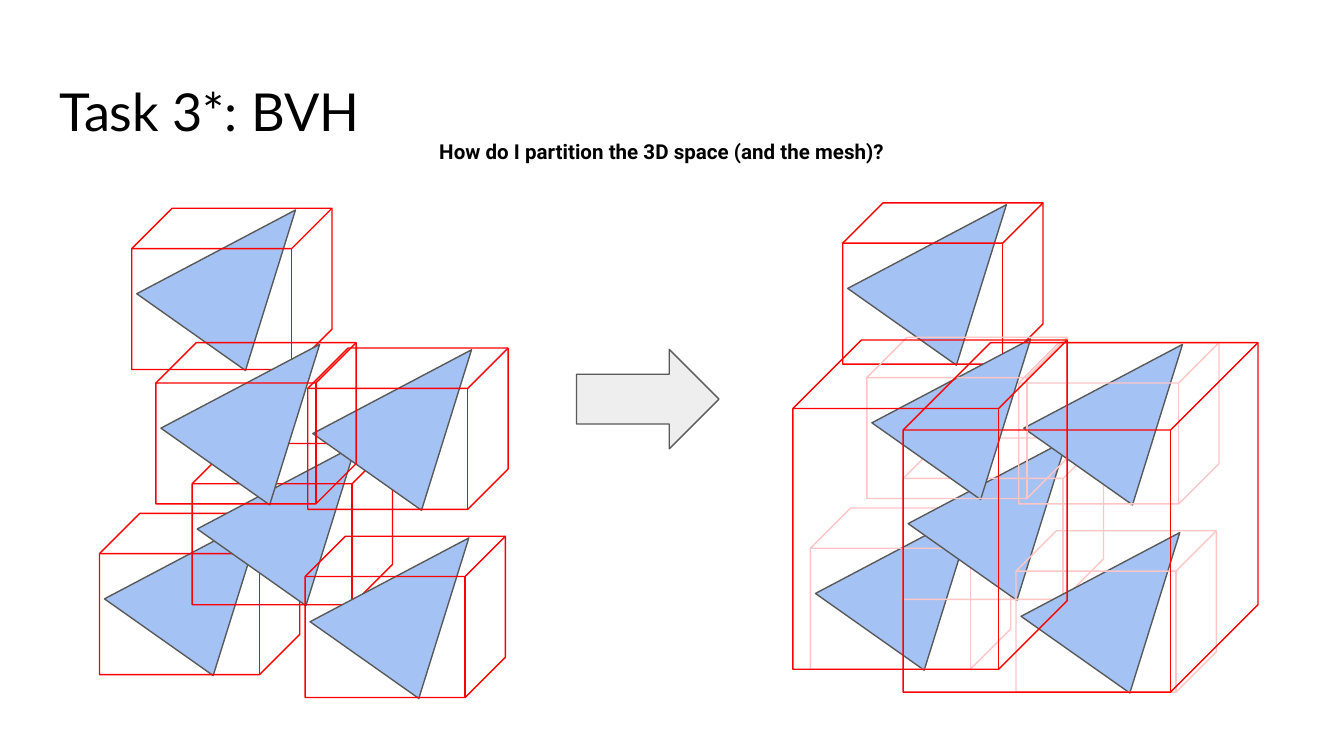
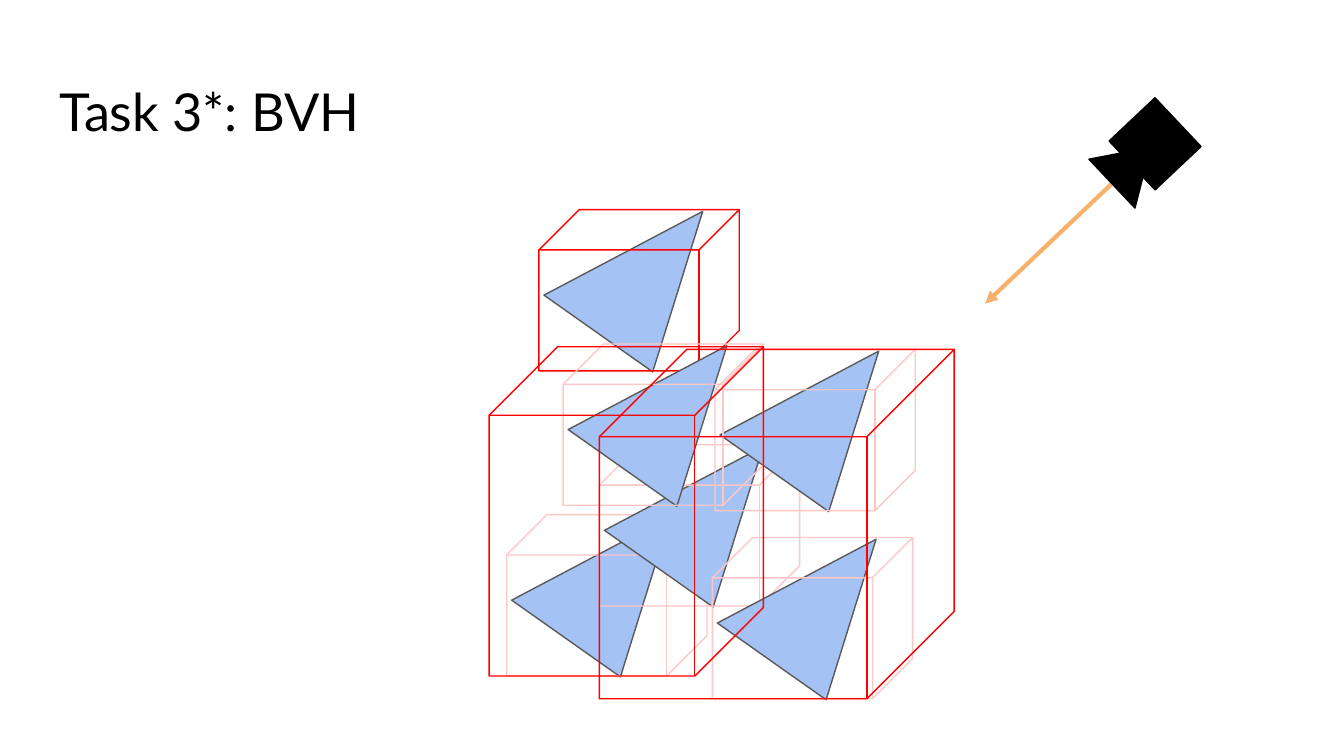
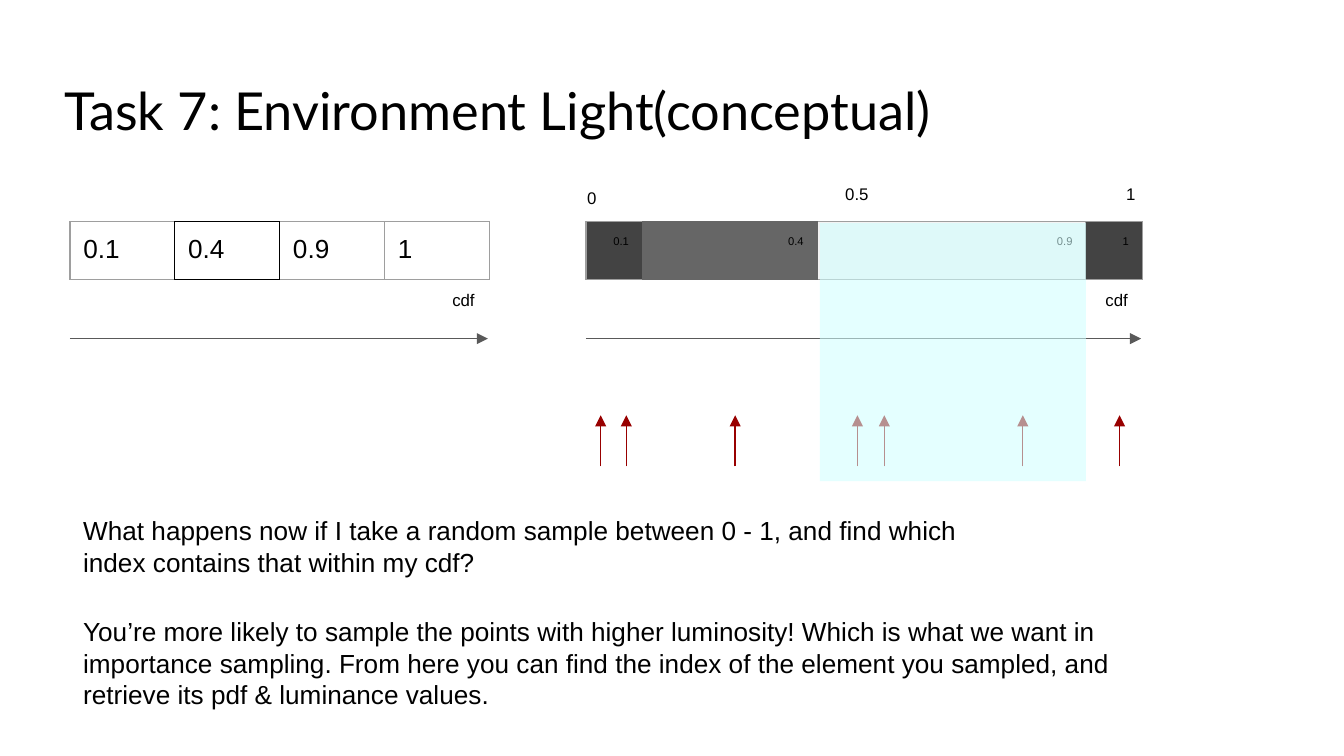
"""Build three slides on bounding volumes and light sampling."""
from dataclasses import dataclass

from lxml import etree
from pptx import Presentation
from pptx.dml.color import RGBColor
from pptx.enum.shapes import MSO_CONNECTOR, MSO_SHAPE
from pptx.enum.text import MSO_ANCHOR, MSO_AUTO_SIZE, PP_ALIGN
from pptx.oxml.ns import qn
from pptx.util import Inches, Pt

CUBE, TRI, RECT = MSO_SHAPE.CUBE, MSO_SHAPE.ISOSCELES_TRIANGLE, MSO_SHAPE.RECTANGLE
ARROW, TRAP = MSO_SHAPE.RIGHT_ARROW, MSO_SHAPE.TRAPEZOID
LINE = MSO_CONNECTOR.STRAIGHT
LEFT, RIGHT = PP_ALIGN.LEFT, PP_ALIGN.RIGHT
TOP, MID = MSO_ANCHOR.TOP, MSO_ANCHOR.MIDDLE
FIXED, GROW = MSO_AUTO_SIZE.NONE, MSO_AUTO_SIZE.SHAPE_TO_FIT_TEXT


@dataclass(frozen=True)
class Theme:
    """Colours, fonts and sizes that the slides share."""
    ink: str = "000000"
    paper: str = "FFFFFF"
    mesh: str = "A4C2F4"
    edge: str = "595959"
    box: str = "FF0000"
    faint: str = "FFC6C6"
    pale: str = "EEEEEE"
    ray: str = "F6B26B"
    pick: str = "980000"
    rule: str = "9E9E9E"
    dark: str = "434343"
    grey: str = "666666"
    light: str = "F3F3F3"
    glow: str = "CFFFFF"
    head: str = "Lato"
    lead: str = "Roboto"
    body: str = "Arial"
    title: int = 28
    text: int = 14
    sub: int = 11
    label: int = 9
    tiny: int = 6
    thin: float = 0.75
    thick: float = 2.25
    pad: float = 0.1


T = Theme()

BVH = "Task 3*: BVH"
ASK = "How do I partition the 3D space (and the mesh)?"
ENV = "Task 7: Environment Light(conceptual)"
NOTES = [
    ((0.52, 3.73, 7.09, 0.67),
     "What happens now if I take a random sample between 0 - 1, "
     "and find which index contains that within my cdf?"),
    ((0.52, 4.48, 7.92, 0.91),
     "You’re more likely to sample the points with higher luminosity! "
     "Which is what we want in importance sampling. From here you can find "
     "the index of the element you sampled, and retrieve its pdf & luminance values."),
]
CDF = ["0.1", "0.4", "0.9", "1"]
BARS = [
    {"left": 0.52, "cols": [0.78] * 4, "fills": [T.paper] * 4,
     "hot": T.ink, "size": T.text, "align": LEFT, "end": 3.63, "wide": 0.84},
    {"left": 4.36, "cols": [0.42, 1.3, 2, 0.42],
     "fills": [T.dark, T.grey, T.light, T.dark],
     "hot": T.grey, "size": T.tiny, "align": RIGHT, "end": 8.49, "wide": 1.11},
]
TICKS = [("0", 4.27, 1.32), ("1", 8.28, 1.29), ("0.5", 6.19, 1.29)]
PICKS = [4.47, 4.66, 5.47, 6.38, 6.58, 7.61, 8.33]

LONE = (0.98, 1.55)
CELLS = [(0.74, 3.82), (1.43, 3.3), (2.27, 3.99), (2.29, 2.59), (1.16, 2.55)]
GROUPS = [(1.43, 2.59, 2.64, 2.6), (0.61, 2.57, 2.04, 2.45)]


def rgb(code):
    """Turn a hex code into a colour."""
    return RGBColor.from_string(code)


def put(item, **vals):
    """Set each named value on an item."""
    for key, val in vals.items():
        setattr(item, key, val)


def write(frame, text, size, font=T.body, bold=False, align=LEFT):
    """Fill a text frame with one styled paragraph."""
    para = frame.paragraphs[0]
    para.alignment = align
    run = para.add_run()
    run.text = text
    put(run.font, size=Pt(size), name=font, bold=bold)
    run.font.color.rgb = rgb(T.ink)


def pads():
    """Give the four equal text margins."""
    return {f"margin_{side}": Inches(T.pad) for side in ("left", "top", "right", "bottom")}


def label(slide, area, text, size, anchor=TOP, fit=GROW, **style):
    """Add a wrapped text box."""
    frame = slide.shapes.add_textbox(*map(Inches, area)).text_frame
    put(frame, word_wrap=True, auto_size=fit, vertical_anchor=anchor, **pads())
    write(frame, text, size, **style)


def start(deck, text, area):
    """Add a slide with its title."""
    slide = deck.slides.add_slide(deck.slide_layouts[5])
    title = slide.shapes.title
    put(title, **dict(zip(("left", "top", "width", "height"), map(Inches, area))))
    put(title.text_frame, word_wrap=True, auto_size=FIXED, vertical_anchor=TOP, **pads())
    write(title.text_frame, text, T.title, T.head)
    return slide


def draw(shapes, kind, area, fill=None, line=None, turn=0, adj=None):
    """Add a preset shape."""
    shape = shapes.add_shape(kind, *map(Inches, area))
    shape.shadow.inherit = False
    shape.rotation = turn
    if adj is not None:
        shape.adjustments[0] = adj
    if fill:
        shape.fill.solid()
        shape.fill.fore_color.rgb = rgb(fill)
    else:
        shape.fill.background()
    if line:
        shape.line.color.rgb = rgb(line)
        shape.line.width = Pt(T.thin)
    else:
        shape.line.fill.background()
    return shape


def arrow(slide, ends, color, width=T.thin):
    """Add a straight line with an arrowhead at its end."""
    line = slide.shapes.add_connector(LINE, *map(Inches, ends))
    line.line.color.rgb = rgb(color)
    line.line.width = Pt(width)
    props = line._element.spPr
    etree.SubElement(props.find(qn("a:ln")), qn("a:tailEnd"), type="triangle")
    etree.SubElement(props, qn("a:effectLst"))


def scene(slide, dx=0, dy=0, nested=False):
    """Draw the boxed triangles, and the outer boxes if nested."""
    for spot in [LONE, *CELLS]:
        x, y = spot[0] + dx, spot[1] + dy
        tone = T.faint if nested and spot in CELLS else T.box
        draw(slide.shapes, TRI, (x + 0.29, y - 0.16, 0.99, 1.19), T.mesh, T.edge, 35.2, 0.612)
        draw(slide.shapes, CUBE, (x, y, 1.49, 1.2), line=tone, adj=0.25)
    for x, y, w, h in GROUPS if nested else []:
        draw(slide.shapes, CUBE, (x + dx, y + dy, w, h), line=T.box, adj=0.25)


def border(cell, tones):
    """Draw the left, right, top and bottom lines of a cell."""
    props = cell._tc.get_or_add_tcPr()
    for spot, (side, tone) in enumerate(zip("LRTB", tones)):
        line = etree.Element(qn(f"a:ln{side}"), w=str(Pt(T.thin)))
        fill = etree.SubElement(line, qn("a:solidFill"))
        etree.SubElement(fill, qn("a:srgbClr"), val=tone)
        props.insert(spot, line)


def strip(slide, bar):
    """Add a one-row table with its caption and axis."""
    left, cols, hot = bar["left"], bar["cols"], bar["hot"]
    area = (left, 1.65, sum(cols), 0.43)
    table = slide.shapes.add_table(1, len(cols), *map(Inches, area)).table
    put(table, first_row=False, horz_banding=False)
    for i, (wide, fill, text) in enumerate(zip(cols, bar["fills"], CDF)):
        table.columns[i].width = Inches(wide)
        cell = table.cell(0, i)
        put(cell, vertical_anchor=TOP, **pads())
        write(cell.text_frame, text, bar["size"], align=bar["align"])
        cell.fill.solid()
        cell.fill.fore_color.rgb = rgb(fill)
        marks = (i in (1, 2), i in (0, 1), i == 1, i == 1)
        border(cell, [hot if mark else T.rule for mark in marks])
    end, wide = bar["end"], bar["wide"]
    label(slide, (end - wide, 2.08, wide, 0.35), "cdf", T.label, align=RIGHT)
    arrow(slide, (left, 2.52, end, 2.52), T.edge)


def split(deck):
    """Show the boxes before and after they are grouped."""
    slide = start(deck, BVH, (0.34, 0.49, 9.32, 0.63))
    scene(slide)
    draw(slide.shapes, ARROW, (4.29, 2.6, 1.06, 0.74), T.pale, T.edge)
    scene(slide, 5.29, -0.04, True)
    label(slide, (3.17, 0.94, 3.76, 0.37), ASK, T.sub, MID, FIXED, font=T.lead, bold=True)


def trace(deck):
    """Show a camera ray that heads for the boxes."""
    slide = start(deck, BVH, (0.34, 0.49, 3.37, 0.63))
    scene(slide, 3.03, 0.01, True)
    arrow(slide, (8.27, 1.37, 7.33, 2.26), T.ray, T.thick)
    camera = slide.shapes.add_group_shape().shapes
    draw(camera, RECT, (8.36, 0.82, 0.47, 0.5), T.ink, T.ink, 316.7)
    draw(camera, TRAP, (8.1, 1.19, 0.5, 0.21), T.ink, T.ink, 46.7, 0.634)


def sample(deck):
    """Show how samples fall along the cdf."""
    slide = start(deck, ENV, (0.38, 0.48, 9.32, 0.63))
    for bar in BARS:
        strip(slide, bar)
    for text, x, y in TICKS:
        label(slide, (x, y, 0.39, 0.35), text, T.label)
    for x in PICKS:
        arrow(slide, (x, 3.47, x, 3.09), T.pick)
    for area, text in NOTES:
        label(slide, area, text, T.text)
    veil = draw(slide.shapes, RECT, (6.1, 1.66, 1.98, 1.92), T.glow)
    tint = veil._element.spPr.find(".//" + qn("a:srgbClr"))
    etree.SubElement(tint, qn("a:alpha"), val="56000")


def main():
    """Build and save the deck."""
    deck = Presentation()
    put(deck, slide_width=Inches(10), slide_height=Inches(10 * 9 / 16))
    for build in (split, trace, sample):
        build(deck)
    deck.save("out.pptx")


if __name__ == "__main__":
    main()
